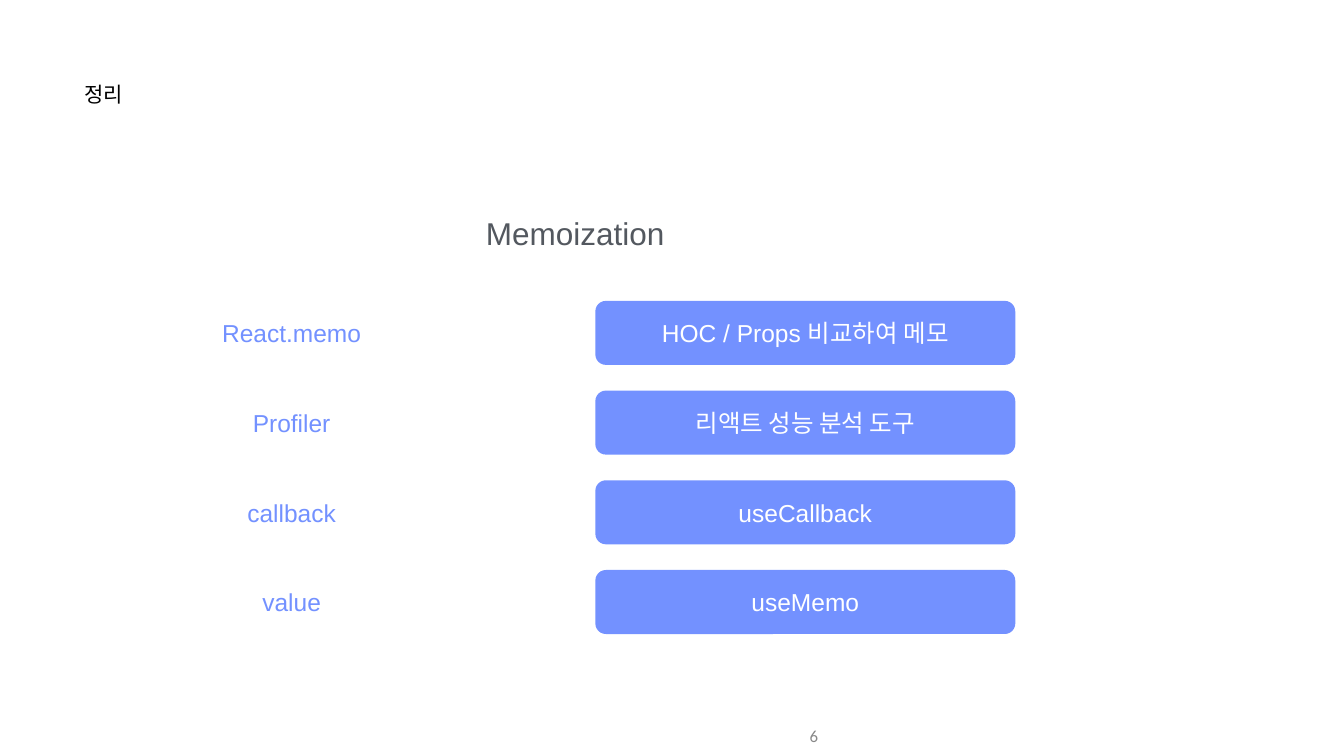
from dataclasses import dataclass

from pptx import Presentation
from pptx.dml.color import RGBColor
from pptx.enum import shapes, text
from pptx.util import Inches, Pt


@dataclass(frozen=True)
class Theme:
    font: str = "Arial"
    number_font: str = "Calibri"
    black: str = "000000"
    gray: str = "53585F"
    pale: str = "888888"
    blue: str = "7391FF"
    white: str = "FFFFFF"
    title: int = 30
    heading: int = 45
    row: int = 35
    number: int = 24


THEME = Theme()
LEFT, CENTER, RIGHT = text.PP_ALIGN.LEFT, text.PP_ALIGN.CENTER, text.PP_ALIGN.RIGHT
TOP, MIDDLE = text.MSO_ANCHOR.TOP, text.MSO_ANCHOR.MIDDLE

ROWS = [
    ("React.memo", "HOC / Props 비교하여 메모"),
    ("Profiler", "리액트 성능 분석 도구"),
    ("callback", "useCallback"),
    ("value", "useMemo"),
]
ROW_TOP, ROW_STEP, ROW_HEIGHT = 5.97, 1.78, 1.27
LABEL_HEIGHT = 0.62


def write(shape, words, size, color, align=CENTER, anchor=MIDDLE,
          font=THEME.font, inset=0.01):
    frame = shape.text_frame
    frame.text = words
    frame.word_wrap = True
    frame.auto_size = text.MSO_AUTO_SIZE.NONE
    frame.vertical_anchor = anchor
    frame.margin_left = frame.margin_right = Inches(inset)
    frame.margin_top = frame.margin_bottom = Inches(inset)
    para = frame.paragraphs[0]
    para.alignment = align
    para.font.name = font
    para.font.size = Pt(size)
    para.font.color.rgb = RGBColor.from_string(color)


def add_title(slide, words):
    title = slide.shapes.title
    title.left, title.top = Inches(1.67), Inches(1.6)
    title.width, title.height = Inches(4.86), Inches(1.18)
    write(title, words, THEME.title, THEME.black, LEFT, TOP)


def add_text(slide, box, words, size, color, **style):
    shape = slide.shapes.add_textbox(*map(Inches, box))
    write(shape, words, size, color, **style)


def add_card(slide, box, words):
    card = slide.shapes.add_shape(
        shapes.MSO_SHAPE.ROUNDED_RECTANGLE, *map(Inches, box))
    card.adjustments[0] = 0.164
    card.shadow.inherit = False
    card.fill.solid()
    card.fill.fore_color.rgb = RGBColor.from_string(THEME.blue)
    card.line.fill.background()
    write(card, words, THEME.row, THEME.white)


def add_row(slide, index, label, note):
    top = ROW_TOP + index * ROW_STEP
    middle = top + (ROW_HEIGHT - LABEL_HEIGHT) / 2
    add_text(slide, (2.66, middle, 6.25, LABEL_HEIGHT), label,
             THEME.row, THEME.blue)
    add_card(slide, (11.81, top, 8.33, ROW_HEIGHT), note)


def main():
    deck = Presentation()
    deck.slide_width, deck.slide_height = Inches(26.66), Inches(15)
    slide = deck.slides.add_slide(deck.slide_layouts.get_by_name("Title Only"))

    add_title(slide, "정리")
    add_text(slide, (2.64, 4.24, 17.54, 0.79), "Memoization",
             THEME.heading, THEME.gray, anchor=TOP)
    for index, (label, note) in enumerate(ROWS):
        add_row(slide, index, label, note)
    add_text(slide, (10.33, 14.21, 6, 0.79), "6", THEME.number, THEME.pale,
             align=RIGHT, font=THEME.number_font, inset=0.1)

    deck.save("out.pptx")


if __name__ == "__main__":
    main()
